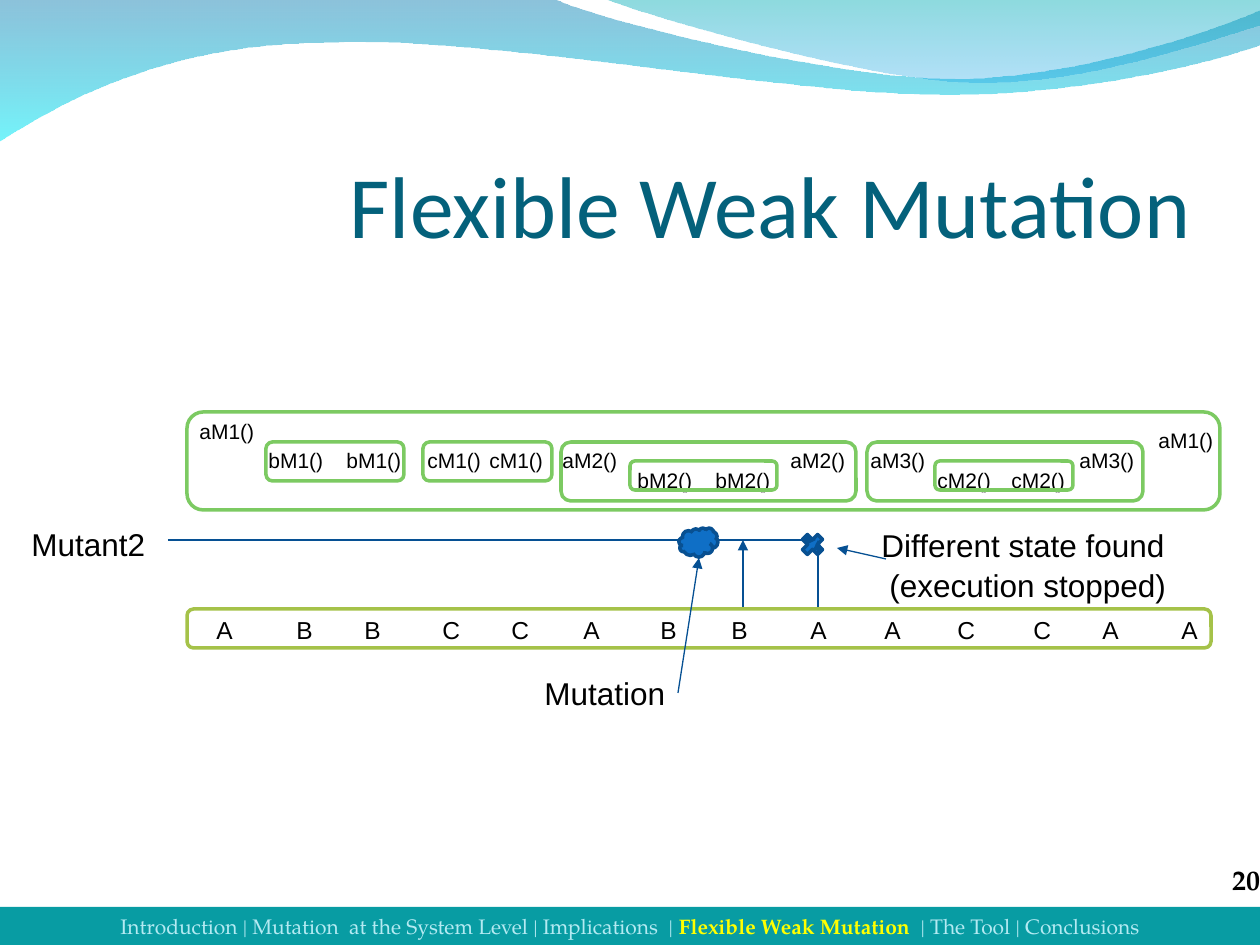
from dataclasses import dataclass

from lxml import etree
from pptx import Presentation
from pptx.dml.color import RGBColor
from pptx.enum import shapes, text
from pptx.oxml import ns
from pptx.util import Emu, Pt

PX = 914400 / 126
FINE = 10


@dataclass(frozen=True)
class Theme:
    title: str = "04617B"
    ink: str = "000000"
    arrow: str = "065093"
    marker: str = "0F6FC6"
    marker_edge: str = "085091"
    call: str = "7CCA62"
    trace: str = "A5C249"
    footer: str = "089CA3"
    footer_text: str = "B3EAF2"
    current: str = "FFFF00"
    sans: str = "Arial"
    heading: str = "Calibri"
    serif: str = "TeX Gyre Pagella"
    title_size: int = 50
    label_size: int = 18
    page_size: int = 16
    trace_size: int = 14
    call_size: int = 12
    footer_size: int = 12
    thin: float = 0.75
    thick: float = 2


THEME = Theme()

WAVES = [
    ((0, -1), [
        [(554, -1)],
        [(600, 21), (837, 79), (955, 79)],
        [(1074, 79), (1207, 33), (1260, 11)],
        [(1261, 45)],
        [(1237, 55), (1096, 96), (940, 95)],
        [(784, 95), (481, 35), (324, 43)],
        [(163, 44), (58, 105), (-1, 142)],
    ], [("0079AF", 45), ("00EBF8", 55)]),
    ((604, -1), [
        [(641, 14), (859, 78), (969, 82)],
        [(1079, 87), (1211, 40), (1260, 26)],
        [(1260, 0)],
    ], [("00ADB6", 45), ("009BE5", 30)]),
]

CALLS = [
    ("aM1()", 187, 412), ("bM1()", 256, 441), ("bM1()", 334, 441),
    ("cM1()", 415, 441), ("cM1()", 477, 441), ("aM2()", 550, 441),
    ("bM2()", 625, 461), ("bM2()", 703, 461), ("aM2()", 778, 441),
    ("aM3()", 858, 441), ("cM2()", 925, 461), ("cM2()", 999, 461),
    ("aM3()", 1067, 441), ("aM1()", 1146, 421),
]

CALL_FRAMES = [
    (867, 442, 276, 59), (266, 442, 138, 39), (423, 442, 129, 39),
    (561, 442, 295, 59), (187, 412, 1033, 98), (630, 461, 147, 29),
    (935, 461, 138, 29),
]

TRACE = "ABBCCABBAACCAA"
TRACE_LEFTS = [204, 284, 352, 430, 499, 571, 648, 719, 798, 872, 945, 1021, 1090, 1169]


def px(*lengths):
    return [Emu(round(length * PX)) for length in lengths]


def rgb(code):
    return RGBColor.from_string(code)


def style_run(run, font, size, color, bold=False):
    run.font.name = font
    run.font.size = Pt(size)
    run.font.color.rgb = rgb(color)
    run.font.bold = bold


def add_text(parent, words, box, size, font=THEME.sans, color=THEME.ink, bold=False,
             wrap=False, align=text.PP_ALIGN.LEFT, insets=None):
    label = parent.add_textbox(*px(*box))
    frame = label.text_frame
    frame.text = words
    frame.word_wrap = wrap
    if insets is None:
        frame.auto_size = text.MSO_AUTO_SIZE.SHAPE_TO_FIT_TEXT
    else:
        frame.margin_left, frame.margin_top, frame.margin_right, frame.margin_bottom = px(*insets)
        frame.vertical_anchor = text.MSO_ANCHOR.BOTTOM
    paragraph = frame.paragraphs[0]
    paragraph.alignment = align
    style_run(paragraph.runs[0], font, size, color, bold)
    return label


def add_preset(parent, kind, box, fill=None, line=None):
    preset = parent.add_shape(kind, *px(*box))
    preset.shadow.inherit = False
    if fill:
        preset.fill.solid()
        preset.fill.fore_color.rgb = rgb(fill)
    else:
        preset.fill.background()
    if line:
        preset.line.color.rgb = rgb(line)
        preset.line.width = Pt(THEME.thick)
    else:
        preset.line.fill.background()
    return preset


def add_arrow(parent, start, end, source=None):
    arrow = parent.add_connector(shapes.MSO_CONNECTOR.STRAIGHT, *px(*start, *end))
    if source is not None:
        arrow.begin_connect(source, 3)
    arrow.line.color.rgb = rgb(THEME.arrow)
    arrow.line.width = Pt(THEME.thin)
    etree.SubElement(arrow.line._get_or_add_ln(), ns.qn("a:tailEnd"), type="triangle")
    etree.SubElement(arrow._element.spPr, ns.qn("a:effectLst"))


def curve(points, steps=24):
    for step in range(1, steps + 1):
        t = step / steps
        weights = ((1 - t) ** 3, 3 * t * (1 - t) ** 2, 3 * t * t * (1 - t), t ** 3)
        yield tuple(sum(w * p[axis] for w, p in zip(weights, points)) for axis in (0, 1))


def add_wave(parent, start, segments, stops):
    outline = [start]
    for segment in segments:
        outline += segment if len(segment) == 1 else list(curve([outline[-1], *segment]))
    fine = [(x * FINE, y * FINE) for x, y in outline]
    builder = parent.build_freeform(*fine[0], scale=PX / FINE)
    builder.add_line_segments(fine[1:], close=True)
    wave = builder.convert_to_shape()
    wave.shadow.inherit = False
    wave.line.fill.background()
    wave.fill.gradient()
    wave.fill.gradient_angle = 270
    for stop, (color, opacity) in zip(wave.fill.gradient_stops, stops):
        stop.color.rgb = rgb(color)
    for node, (color, opacity) in zip(wave._element.spPr.iter(ns.qn("a:srgbClr")), stops):
        etree.SubElement(node, ns.qn("a:alpha"), val=str(opacity * 1000))


def add_footer(parent):
    bar = add_preset(parent, shapes.MSO_SHAPE.RECTANGLE, (0, 907, 1260, 38), fill=THEME.footer)
    bar.text_frame.vertical_anchor = text.MSO_ANCHOR.TOP
    paragraph = bar.text_frame.paragraphs[0]
    paragraph.alignment = text.PP_ALIGN.CENTER
    for words, color, bold in [
        ("Introduction | Mutation  at the System Level | Implications  | ", THEME.footer_text, False),
        ("Flexible Weak Mutation", THEME.current, True),
        ("  | The Tool | Conclusions", THEME.footer_text, False),
    ]:
        run = paragraph.add_run()
        run.text = words
        style_run(run, THEME.serif, THEME.footer_size, color, bold)


def add_trace(canvas):
    trace = canvas.add_group_shape().shapes
    for letter, left in zip(TRACE, TRACE_LEFTS):
        add_text(trace, letter, (left, 609, 43, 42), THEME.trace_size)
    add_preset(trace, shapes.MSO_SHAPE.ROUNDED_RECTANGLE, (187, 609, 1024, 39), line=THEME.trace)


def add_calls(canvas):
    calls = canvas.add_group_shape().shapes
    for name, left, top in CALLS:
        add_text(calls, name, (left, top, 82, 38), THEME.call_size)
    for box in CALL_FRAMES:
        add_preset(calls, shapes.MSO_SHAPE.ROUNDED_RECTANGLE, box, line=THEME.call)


def main():
    deck = Presentation()
    deck.slide_width, deck.slide_height = px(1260, 945)
    canvas = deck.slides.add_slide(deck.slide_layouts[6]).shapes

    for wave in WAVES:
        add_wave(canvas, *wave)
    add_text(canvas, "Flexible Weak Mutation", (59, 98, 1132, 158), THEME.title_size,
             THEME.heading, THEME.title, wrap=True, align=text.PP_ALIGN.RIGHT, insets=(0, 6, 0, 0))

    add_text(canvas, "Mutant2", (19, 519, 139, 50), THEME.label_size)
    add_preset(canvas, shapes.MSO_SHAPE.MATH_MULTIPLY, (798, 530, 29, 29),
               THEME.marker, THEME.marker_edge)
    add_arrow(canvas, (168, 540), (816, 540))
    for across in (818, 743):
        add_arrow(canvas, (across, 609), (across, 540))
    add_trace(canvas)
    add_preset(canvas, shapes.MSO_SHAPE.CLOUD, (679, 528, 39, 29),
               THEME.marker, THEME.marker_edge)
    mutation = add_text(canvas, "Mutation", (532, 668, 146, 50), THEME.label_size)
    add_arrow(canvas, (678, 693), (699, 558), mutation)

    finding = canvas.add_group_shape().shapes
    add_text(finding, "(execution stopped)", (877, 560, 310, 50), THEME.label_size)
    add_text(finding, "Different state found", (869, 520, 310, 50), THEME.label_size)
    add_arrow(canvas, (886, 559), (837, 548))

    add_calls(canvas)
    add_footer(canvas)
    add_text(canvas, "20", (1215, 857, 45, 39), THEME.page_size, THEME.serif, bold=True,
             wrap=True, align=text.PP_ALIGN.RIGHT, insets=(0, 0, 0, 0))
    deck.save("out.pptx")


if __name__ == "__main__":
    main()
